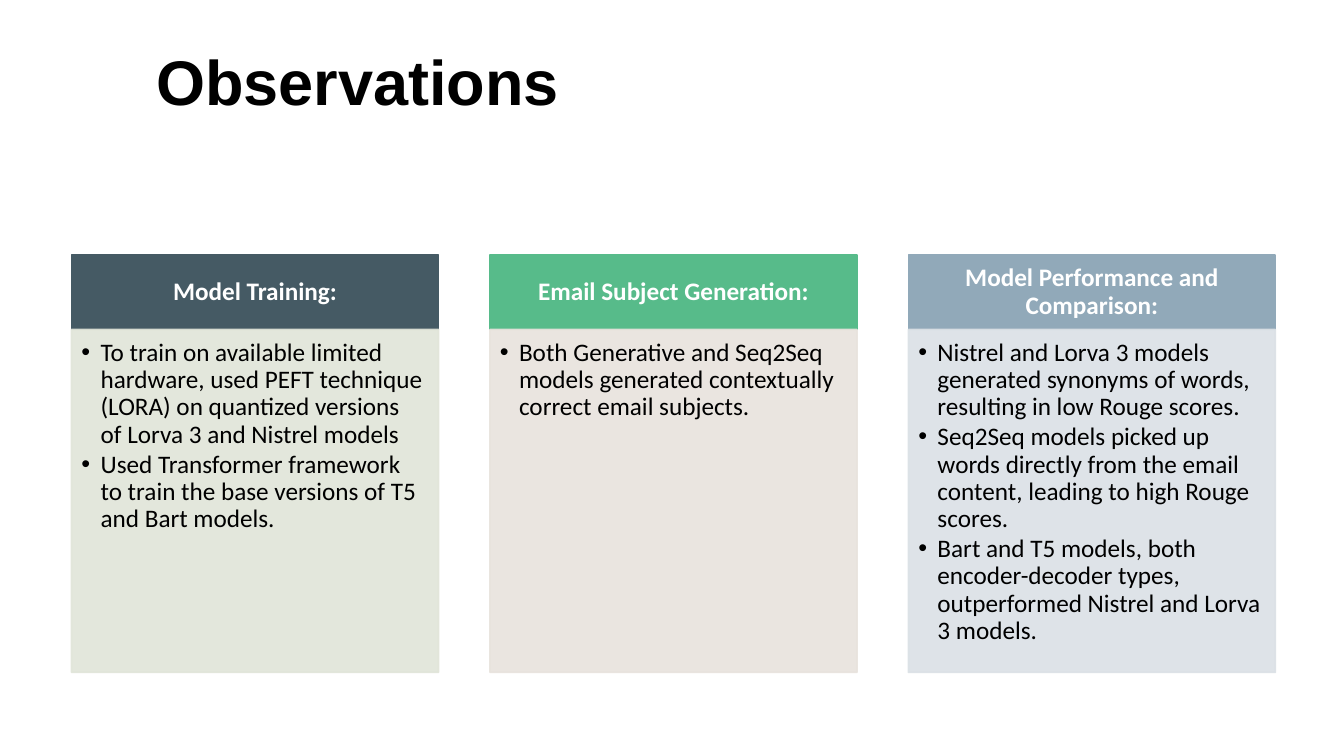
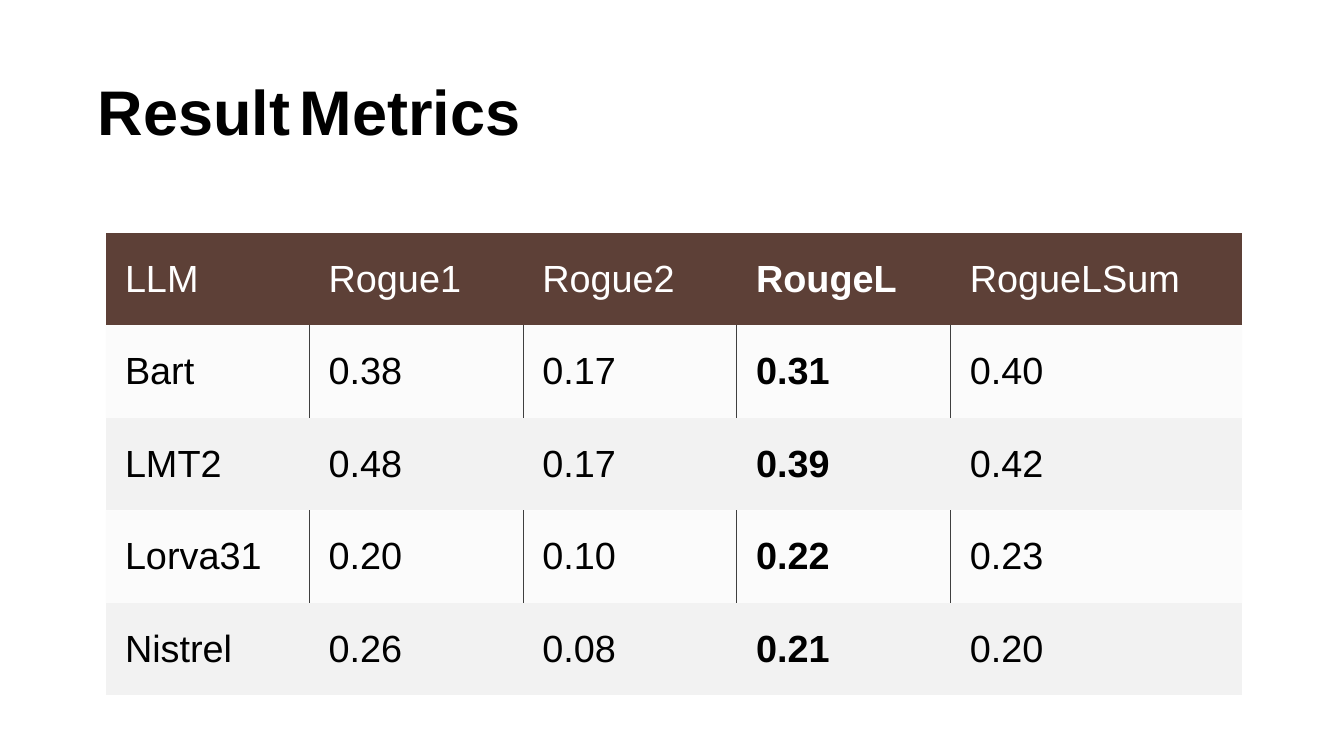
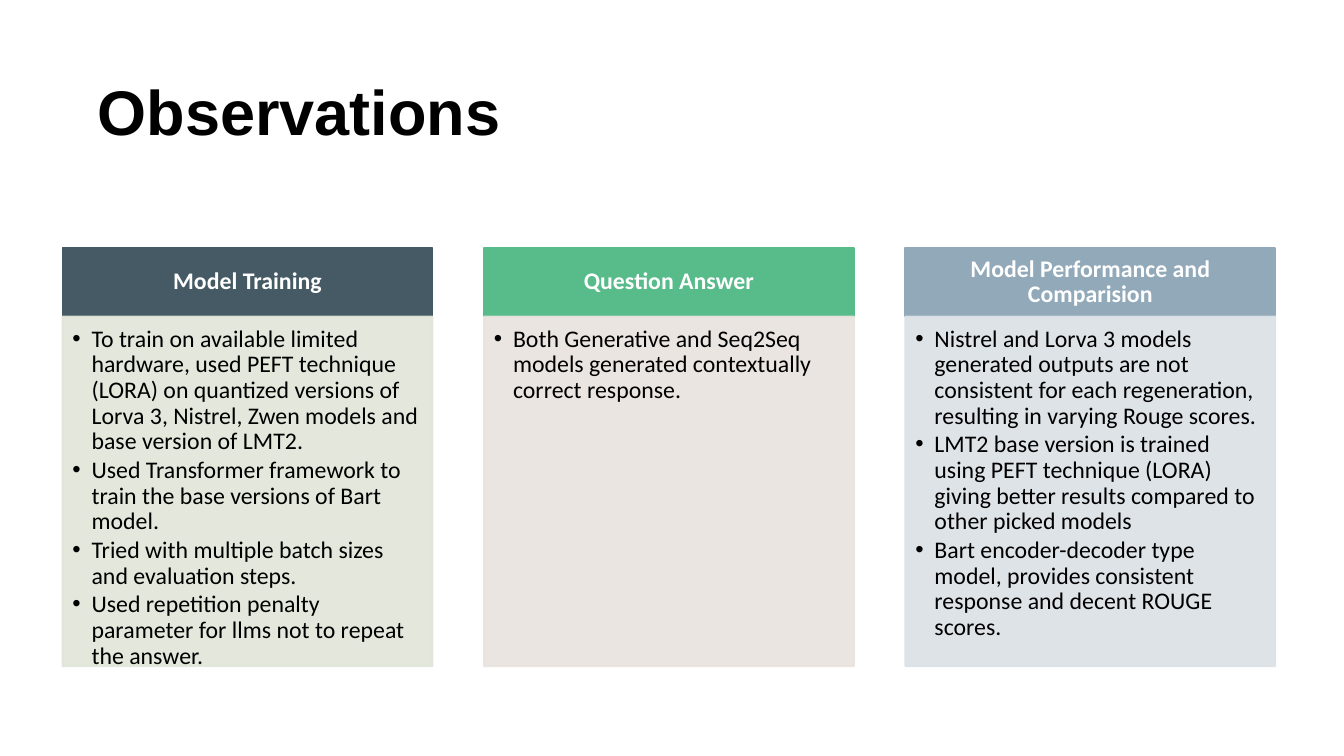
from dataclasses import dataclass

from lxml.etree import SubElement
from pptx import Presentation
from pptx.dml.color import RGBColor
from pptx.enum.shapes import MSO_SHAPE as Shape
from pptx.enum.text import MSO_ANCHOR as Anchor, MSO_AUTO_SIZE as AutoSize, PP_ALIGN as Align
from pptx.oxml.ns import qn
from pptx.util import Inches, Pt

NO_GRID_STYLE = "{2D5ABB26-0587-4C30-8999-92F81FD0307C}"


@dataclass(frozen=True)
class Theme:
    title_font: str = "Arial"
    card_font: str = "Calibri"
    ink: str = "000000"
    light: str = "FFFFFF"
    card_colors: tuple = (("455A64", "E1E5D9"), ("57BB8A", "E8E3DD"), ("91A9B9", "DBE1E6"))
    card_opacity: int = 90
    table_header: str = "5D4037"
    table_band: str = "F2F2F2"
    table_rule: str = "3F3F3F"
    pale_row_opacity: int = 30
    title_size: float = 45
    title_gap_size: float = 24
    table_size: float = 27


@dataclass(frozen=True)
class Box:
    left: float
    top: float
    width: float
    height: float

    def place(self):
        return [Inches(value) for value in (self.left, self.top, self.width, self.height)]


THEME = Theme()
TITLE_BOX = Box(0.92, 0.33, 10.75, 1.19)


def set_fill(fill, color, opacity=100):
    fill.solid()
    fill.fore_color.rgb = RGBColor.from_string(color)
    if opacity < 100:
        for node in fill._xPr.iter(qn("a:srgbClr")):
            SubElement(node, qn("a:alpha"), val=str(opacity * 1000))


def set_font(font, name, size, color, bold=False):
    font.name = name
    font.size = Pt(size)
    font.bold = bold
    font.color.rgb = RGBColor.from_string(color)


def set_insets(target, left, top, right, bottom):
    target.margin_left, target.margin_top = Inches(left), Inches(top)
    target.margin_right, target.margin_bottom = Inches(right), Inches(bottom)


def add_titled_page(deck, words, box=TITLE_BOX, anchor=Anchor.BOTTOM):
    """Add a page whose title words are set apart by a narrow gap."""
    page = deck.slides.add_slide(deck.slide_layouts[5])
    title = page.shapes.title
    title.left, title.top, title.width, title.height = box.place()
    frame = title.text_frame
    frame.auto_size = AutoSize.NONE
    frame.vertical_anchor = anchor
    set_insets(frame, 0.05, 0.05, 0.05, 0.05)
    para = frame.paragraphs[0]
    para.alignment = Align.LEFT
    para.line_spacing = 0.85
    for index, word in enumerate(words):
        if index:
            gap = para.add_run()
            gap.text = " "
            gap.font.size = Pt(THEME.title_gap_size)
            gap.font.bold = False
        para.add_run().text = word
    set_font(para.font, THEME.title_font, THEME.title_size, THEME.ink, True)
    return page


def add_panel(page, box, color, opacity=100):
    panel = page.shapes.add_shape(Shape.RECTANGLE, *box.place())
    panel.shadow.inherit = False
    set_fill(panel.fill, color, opacity)
    panel.line.width = Pt(1.25)
    set_fill(panel.line.fill, color, opacity)
    panel.text_frame.word_wrap = True
    return panel.text_frame


def add_bullet(para):
    indent = Inches(0.19)
    properties = para._p.get_or_add_pPr()
    properties.set("marL", str(indent))
    properties.set("indent", str(-indent))
    color = SubElement(properties, qn("a:buClr"))
    SubElement(color, qn("a:srgbClr"), val=THEME.ink)
    SubElement(properties, qn("a:buFont"), typeface="Arial")
    SubElement(properties, qn("a:buChar"), char="•")


def add_card(page, box, header_height, size, colors, heading, points):
    header_color, body_color = colors
    header = add_panel(page, Box(box.left, box.top, box.width, header_height), header_color)
    header.vertical_anchor = Anchor.MIDDLE
    set_insets(header, 0.14, 0.08, 0.14, 0.08)
    para = header.paragraphs[0]
    para.text = heading
    para.alignment = Align.CENTER
    para.line_spacing = 0.9
    set_font(para.font, THEME.card_font, size, THEME.light, True)

    body_box = Box(box.left, box.top + header_height, box.width, box.height - header_height)
    body = add_panel(page, body_box, body_color, THEME.card_opacity)
    body.vertical_anchor = Anchor.TOP
    set_insets(body, 0.1, 0.1, 0.13, 0)
    for index, point in enumerate(points):
        para = body.add_paragraph() if index else body.paragraphs[0]
        para.text = point
        para.alignment = Align.LEFT
        para.line_spacing = 0.9
        para.space_before = Pt(2 if index else 0)
        add_bullet(para)
        set_font(para.font, THEME.card_font, size, THEME.ink)


def add_cards(page, box, header_height, size, cards, gap=0.51):
    width = (box.width - gap * (len(cards) - 1)) / len(cards)
    for index, (colors, (heading, points)) in enumerate(zip(THEME.card_colors, cards)):
        card_box = Box(box.left + index * (width + gap), box.top, width, box.height)
        add_card(page, card_box, header_height, size, colors, heading, points)


def add_cell_rules(cell, sides):
    properties = cell._tc.get_or_add_tcPr()
    for position, side in enumerate(sides):
        rule = SubElement(properties, qn(f"a:ln{side}"), w=str(Pt(0.75)))
        fill = SubElement(rule, qn("a:solidFill"))
        SubElement(fill, qn("a:srgbClr"), val=THEME.table_rule)
        properties.insert(position, rule)


def add_metrics_table(page, box, column_widths, rows, bold_column):
    frame = page.shapes.add_table(len(rows), len(column_widths), *box.place())
    table = frame.table
    table.horz_banding = False
    table._tbl.tblPr.find(qn("a:tableStyleId")).text = NO_GRID_STYLE
    for column, width in zip(table.columns, column_widths):
        column.width = Inches(width)
    last = len(column_widths) - 1
    for row_index, row in enumerate(rows):
        table.rows[row_index].height = Inches(box.height / len(rows))
        is_header, is_pale = row_index == 0, row_index % 2 == 1
        for column_index, text in enumerate(row):
            cell = table.cell(row_index, column_index)
            cell.vertical_anchor = Anchor.MIDDLE
            set_insets(cell, 0.19, 0.19, 0.19, 0.19)
            set_fill(cell.fill, THEME.table_header if is_header else THEME.table_band,
                     THEME.pale_row_opacity if is_pale else 100)
            if is_pale:
                add_cell_rules(cell, "L" * (column_index > 0) + "R" * (column_index < last))
            para = cell.text_frame.paragraphs[0]
            para.text = text
            set_font(para.font, THEME.title_font, THEME.table_size,
                     THEME.light if is_header else THEME.ink, column_index == bold_column)


EMAIL_CARDS = (
    ("Model Training:", (
        "To train on available limited hardware, used PEFT technique (LORA) on quantized "
        "versions of Lorva 3 and Nistrel models",
        "Used Transformer framework to train the base versions of T5 and Bart models.",
    )),
    ("Email Subject Generation:", (
        "Both Generative and Seq2Seq models generated contextually correct email subjects.",
    )),
    ("Model Performance and Comparison:", (
        "Nistrel and Lorva 3 models generated synonyms of words, resulting in low Rouge scores.",
        "Seq2Seq models picked up words directly from the email content, leading to high "
        "Rouge scores.",
        "Bart and T5 models, both encoder-decoder types, outperformed Nistrel and "
        "Lorva 3 models.",
    )),
)

METRICS = (
    ("LLM", "Rogue1", "Rogue2", "RougeL", "RogueLSum"),
    ("Bart", "0.38", "0.17", "0.31", "0.40"),
    ("LMT2", "0.48", "0.17", "0.39", "0.42"),
    ("Lorva31", "0.20", "0.10", "0.22", "0.23"),
    ("Nistrel", "0.26", "0.08", "0.21", "0.20"),
)

ANSWER_CARDS = (
    ("Model Training", (
        "To train on available limited hardware, used PEFT technique (LORA) on quantized "
        "versions of Lorva 3, Nistrel, Zwen models and base version of LMT2.",
        "Used Transformer framework to train the base versions of Bart model.",
        "Tried with multiple batch sizes and evaluation steps.",
        "Used repetition penalty parameter for llms not to repeat the answer.",
    )),
    ("Question Answer", (
        "Both Generative and Seq2Seq models generated contextually correct response.",
    )),
    ("Model Performance and Comparision", (
        "Nistrel and Lorva 3 models generated outputs are not consistent for each "
        "regeneration, resulting in varying Rouge scores.",
        "LMT2 base version is trained using PEFT technique (LORA) giving better results "
        "compared to other picked models",
        "Bart encoder-decoder type model, provides consistent response and decent "
        "ROUGE scores.",
    )),
)


def main():
    deck = Presentation()
    deck.slide_width, deck.slide_height = Inches(13.33), Inches(7.5)

    page = add_titled_page(deck, ["Observations"], Box(1.5, 0.38, 10.98, 0.96), Anchor.MIDDLE)
    add_cards(page, Box(0.71, 2.53, 11.94, 4.14), 0.74, 18, EMAIL_CARDS)

    page = add_titled_page(deck, ["Result", "Metrics"])
    add_metrics_table(page, Box(1.05, 2.31, 11.27, 4.59), (2.02, 2.12, 2.12, 2.12, 2.89),
                      METRICS, bold_column=3)

    page = add_titled_page(deck, ["Observations"])
    add_cards(page, Box(0.62, 2.46, 12.03, 4.15), 0.68, 17, ANSWER_CARDS)

    deck.save("out.pptx")


if __name__ == "__main__":
    main()
